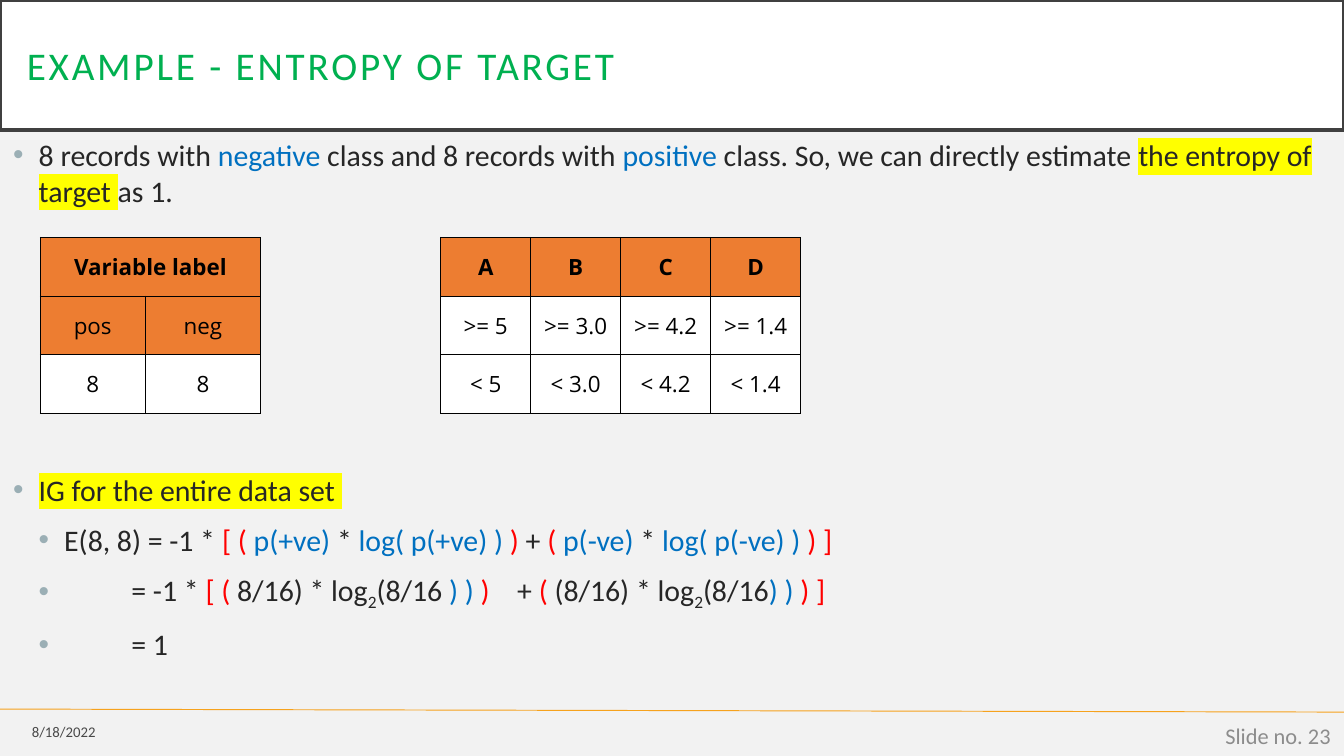
"""Build a slide on the entropy of a target variable."""
from dataclasses import dataclass
from itertools import product
from typing import NamedTuple

from lxml import etree
from pptx import Presentation
from pptx.dml.color import RGBColor
from pptx.enum.shapes import MSO_CONNECTOR, MSO_SHAPE
from pptx.enum.text import MSO_ANCHOR, PP_ALIGN
from pptx.oxml.ns import qn
from pptx.util import Inches, Pt

LEFT, MID, RIGHT = PP_ALIGN.LEFT, PP_ALIGN.CENTER, PP_ALIGN.RIGHT
TOP, CENTER = MSO_ANCHOR.TOP, MSO_ANCHOR.MIDDLE
RECT, STRAIGHT = MSO_SHAPE.RECTANGLE, MSO_CONNECTOR.STRAIGHT
WIDE, HIGH = Inches(10), Inches(5.625)
DARK, BLUE, RED, BLACK = "262626", "0070C0", "FF0000", "000000"
WHITE, ORANGE, YELLOW, GREEN = "FFFFFF", "ED7D31", "FFFF00", "00B050"
PLAIN = "{2D5ABB26-0587-4C30-8999-92F81FD0307C}"


class Run(NamedTuple):
    text: str
    color: str = DARK
    size: float = 16
    font: str = "Calibri"
    bold: bool = False
    mark: str = ""
    sub: bool = False
    space: float = 0


class Box(NamedTuple):
    left: float
    top: float
    width: float
    height: float


@dataclass
class Item:
    runs: list[Run]
    margin: float = 0.19
    hang: float = 0.19
    tab: float = 0


@dataclass
class Grid:
    col: int
    widths: list[float]
    rows: list[list[str]]
    heads: int


FIRST = [Item([Run("8 records with "), Run("negative", BLUE),
               Run(" class and 8 records with "), Run("positive", BLUE),
               Run(" class. So, we can directly estimate "),
               Run("the entropy of target ", mark=YELLOW), Run("as 1.")])]
LOG = [Run("8/16) * log"), Run("2", sub=True)]
STEPS = [
    Item([Run("IG for the entire data set ", mark=YELLOW)]),
    Item([Run("E(8, 8) = -1 * "), Run("[ ( ", RED), Run("p(+ve)", BLUE), Run(" * "),
          Run("log( p(+ve) ) ", BLUE), Run(") ", RED), Run("+ "), Run("( ", RED),
          Run("p(-ve) ", BLUE), Run("* "), Run("log( p(-ve) ) ", BLUE),
          Run(") ]", RED)], 0.38),
    Item([Run("= -1 * "), Run("[ ( ", RED), *LOG, Run("(8/16 "), Run(") ) ", BLUE),
          Run(")", RED), Run("\t+ "), Run("( ", RED), Run("("), *LOG, Run("(8/16"),
          Run(") ) ", BLUE), Run(") ]", RED)], 0.88, 0.69, 3.75),
    Item([Run("= 1")], 0.88, 0.69),
]
GRIDS = [
    Grid(0, [0.78, 0.86], [["Variable label", ""], ["pos", "neg"], ["8", "8"]], 2),
    Grid(4, [0.67] * 4, [list("ABCD"), [">= 5", ">= 3.0", ">= 4.2", ">= 1.4"],
                         ["< 5", "< 3.0", "< 4.2", "< 1.4"]], 1),
]


def tint(code: str) -> RGBColor:
    """Turn a hex string into a colour."""
    return RGBColor.from_string(code)


def place(box: Box) -> tuple[int, ...]:
    """Turn shares of the slide into lengths."""
    return tuple(round(share * full) for share, full in zip(box, (WIDE, HIGH) * 2))


def node(parent, tag: str, **attrs: str):
    """Append a drawing element."""
    return etree.SubElement(parent, qn(tag), attrs)


def write(para, runs: list[Run]) -> None:
    """Add text run by run."""
    for run in runs:
        part = para.add_run()
        part.text = run.text
        font = part.font
        font.size, font.name, font.bold = Pt(run.size), run.font, run.bold
        font.color.rgb = tint(run.color)
        props = part._r.get_or_add_rPr()
        if run.mark:
            light = etree.Element(qn("a:highlight"))
            node(light, "a:srgbClr", val=run.mark)
            props.find(qn("a:solidFill")).addnext(light)
        if run.sub:
            props.set("baseline", "-25000")
        if run.space:
            props.set("spc", str(round(run.space * 100)))


def label(slide, box: Box, run: Run, align: PP_ALIGN) -> None:
    """Draw one line of small text."""
    frame = slide.shapes.add_textbox(*place(box)).text_frame
    frame.word_wrap, frame.vertical_anchor = True, CENTER
    frame.paragraphs[0].alignment = align
    write(frame.paragraphs[0], [run])


def points(slide, box: Box, items: list[Item]) -> None:
    """Draw a bulleted list."""
    frame = slide.shapes.add_textbox(*place(box)).text_frame
    frame.word_wrap, frame.vertical_anchor = True, TOP
    for pos, item in enumerate(items):
        para = frame.add_paragraph() if pos else frame.paragraphs[0]
        para.space_before = Pt(7.5)
        props = para._p.get_or_add_pPr()
        props.set("marL", str(Inches(item.margin)))
        props.set("indent", str(-Inches(item.hang)))
        node(node(props, "a:buClr"), "a:srgbClr", val="9BAFB5")
        node(props, "a:buFont", typeface="Arial")
        node(props, "a:buChar", char="•")
        if item.tab:
            node(node(props, "a:tabLst"), "a:tab", pos=str(Inches(item.tab)), algn="l")
        write(para, item.runs)


def banner(slide, box: Box, run: Run) -> None:
    """Draw the framed title."""
    shape = slide.shapes.add_shape(RECT, *place(box))
    shape.shadow.inherit = False
    shape.fill.solid()
    shape.fill.fore_color.rgb = tint(WHITE)
    shape.line.color.rgb, shape.line.width = tint("404040"), Pt(2.5)
    frame = shape.text_frame
    frame.margin_left = frame.margin_right = Inches(0.2)
    frame.vertical_anchor = CENTER
    frame.paragraphs[0].alignment = LEFT
    write(frame.paragraphs[0], [run])


def rule(slide, start: float, end: float) -> None:
    """Draw the line above the footer."""
    line = slide.shapes.add_connector(
        STRAIGHT, 0, round(start * HIGH), WIDE, round(end * HIGH))
    line.line.color.rgb, line.line.width = tint("F6A21D"), Pt(0.5)
    node(line._element.spPr, "a:effectLst")


def style(cell, text: str, fill: str, bold: bool) -> None:
    """Fill, frame and label a cell."""
    props = cell._tc.get_or_add_tcPr()
    for side in "LRTB":
        edge = node(props, f"a:ln{side}", w=str(Pt(0.5)))
        node(node(edge, "a:solidFill"), "a:srgbClr", val=BLACK)
    cell.fill.solid()
    cell.fill.fore_color.rgb = tint(fill)
    cell.margin_left = cell.margin_right = Inches(0.01)
    cell.margin_top = cell.margin_bottom = Inches(0.1)
    cell.vertical_anchor = CENTER
    para = cell.text_frame.paragraphs[0]
    para.alignment = MID
    if text:
        write(para, [Run(text, BLACK, 12, "Open Sans", bold)])


def tally(slide, box: Box, grids: list[Grid]) -> None:
    """Draw both grids in one table with an open gap."""
    table = slide.shapes.add_table(3, 8, *place(box)).table
    table.first_row = table.horz_banding = False
    table._tbl.tblPr.find(qn("a:tableStyleId")).text = PLAIN
    for col in table.columns:
        col.width = Inches(0.67)
    for grid in grids:
        for pos, width in enumerate(grid.widths):
            table.columns[grid.col + pos].width = Inches(width)
        for row, col in product(range(3), range(len(grid.widths))):
            fill = ORANGE if row < grid.heads else WHITE
            style(table.cell(row, grid.col + col), grid.rows[row][col], fill, row == 0)
    table.cell(0, 0).merge(table.cell(0, 1))


def main() -> None:
    """Build and save the slide."""
    deck = Presentation()
    deck.slide_width, deck.slide_height = WIDE, HIGH
    slide = deck.slides.add_slide(deck.slide_layouts[6])
    slide.background.fill.solid()
    slide.background.fill.fore_color.rgb = tint("F2F2F2")
    rule(slide, 0.938, 0.942)
    banner(slide, Box(0, 0, 1, 0.172),
           Run("EXAMPLE - ENTROPY OF TARGET", GREEN, 21, space=1.5))
    points(slide, Box(0, 0.172, 1, 0.12), FIRST)
    points(slide, Box(0, 0.615, 1, 0.3), STEPS)
    tally(slide, Box(0.03, 0.314, 0.564, 0.233), GRIDS)
    label(slide, Box(0, 0.944, 0.081, 0.048), Run("8/18/2022", "484848", 7.9), RIGHT)
    label(slide, Box(0.775, 0.946, 0.225, 0.053), Run("Slide no. 23", "8C8C8C", 12), RIGHT)
    deck.save("out.pptx")


if __name__ == "__main__":
    main()
